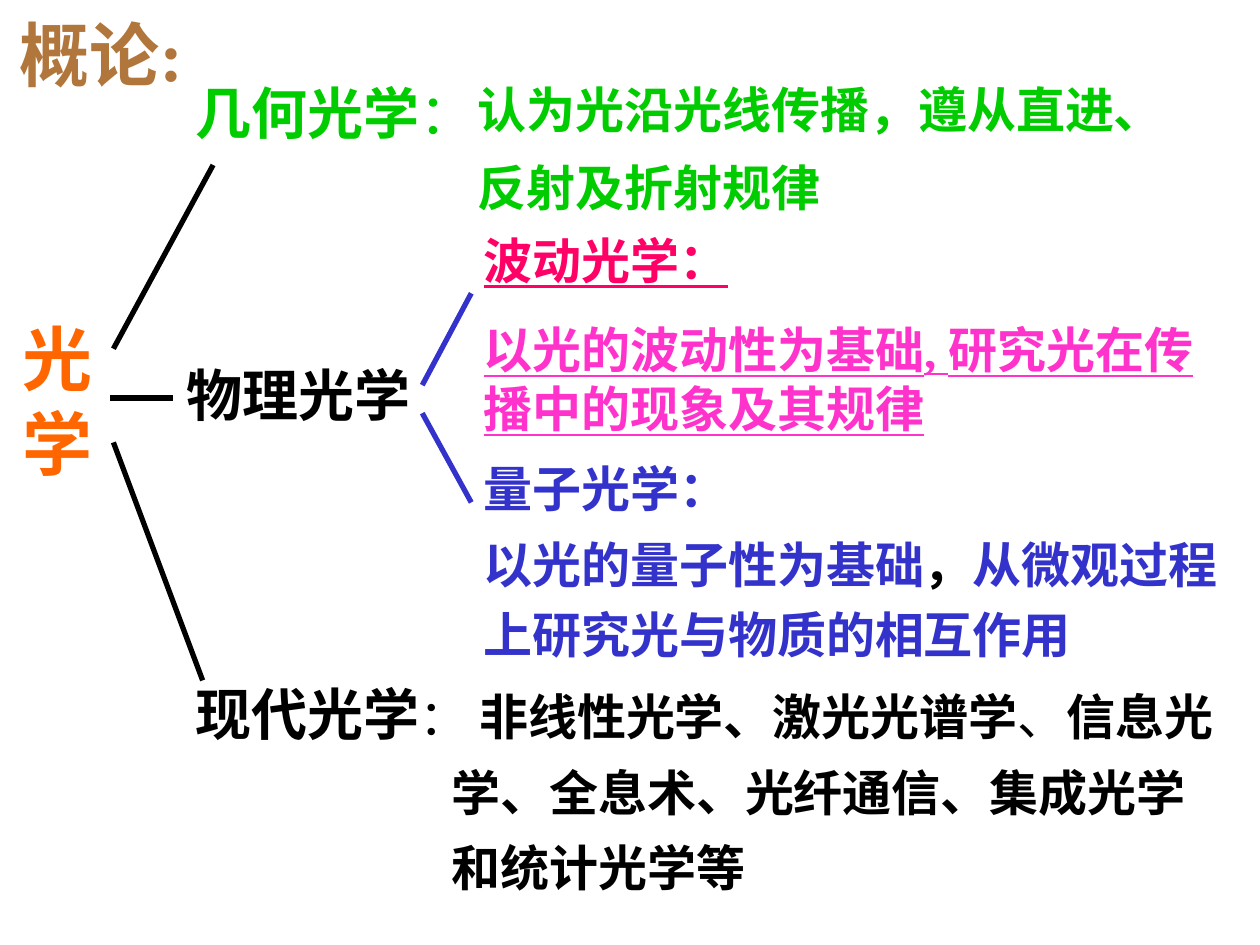
import pptx
import pptx.dml.color
import pptx.enum.shapes
import pptx.enum.text
import pptx.oxml
import pptx.oxml.ns
import pptx.util

Pt = pptx.util.Pt
RGB = pptx.dml.color.RGBColor
BLACK = RGB(0x00, 0x00, 0x00)
ORANGE = RGB(0xFF, 0x66, 0x00)
BROWN = RGB(0xB1, 0x76, 0x3B)
GREEN = RGB(0x00, 0xCC, 0x00)
RED = RGB(0xFF, 0x00, 0x66)
PINK = RGB(0xFF, 0x33, 0xCC)
BLUE = RGB(0x33, 0x33, 0xCC)
SHADOW = (
    '<a:effectLst %s><a:outerShdw dist="28575" dir="2700000" algn="tl">'
    '<a:srgbClr val="808080"/></a:outerShdw></a:effectLst>'
    % pptx.oxml.ns.nsdecls("a")
)


def add_box(s, x, y, w, h, wrap=True, top=3.6):
    """Add a text box and return its text frame."""
    tf = s.shapes.add_textbox(Pt(x), Pt(y), Pt(w), Pt(h)).text_frame
    tf.word_wrap = wrap
    tf.margin_left = tf.margin_right = Pt(7.2)
    tf.margin_top, tf.margin_bottom = Pt(top), Pt(3.6)
    return tf


def add_paragraph(tf, line=1.0, before=17.5, indent=0):
    """Return the next paragraph of a frame, the first without space before."""
    p = tf.paragraphs[0]
    if p.runs:
        p = tf.add_paragraph()
        p.space_before = Pt(before)
    p.line_spacing = line
    if indent:
        pPr = p._p.get_or_add_pPr()
        pPr.set("marL", str(Pt(indent)))
        pPr.set("indent", "0")
    return p


def add_text(p, text, size=28, color=BLACK, bold=True, underline=False,
             font="Times New Roman", shadow=False):
    """Add a formatted run to a paragraph."""
    r = p.add_run()
    r.text = text
    r.font.size, r.font.bold, r.font.name = Pt(size), bold, font
    r.font.color.rgb = color
    if underline:
        r.font.underline = True
    if shadow:
        fill = r._r.rPr.find(pptx.oxml.ns.qn("a:solidFill"))
        fill.addnext(pptx.oxml.parse_xml(SHADOW))


def add_line(s, x1, y1, x2, y2, color=BLACK):
    """Add a plain three-point line."""
    c = s.shapes.add_connector(
        pptx.enum.shapes.MSO_CONNECTOR.STRAIGHT, Pt(x1), Pt(y1), Pt(x2), Pt(y2))
    c.line.color.rgb = color
    c.line.width = Pt(3)
    c._element.spPr.append(
        pptx.oxml.parse_xml("<a:effectLst %s/>" % pptx.oxml.ns.nsdecls("a")))


def add_title(s, x, y, w, h):
    """Place the slide title."""
    tf = add_box(s, x, y, w, h, wrap=False)
    tf.vertical_anchor = pptx.enum.text.MSO_ANCHOR.MIDDLE
    p = add_paragraph(tf)
    p.alignment = pptx.enum.text.PP_ALIGN.CENTER
    add_text(p, "概论:", size=40, color=BROWN)


def add_root(s, x, y, w, h):
    """Place the root word and its three branches."""
    tf = add_box(s, x, y, w, h, top=48)
    for char in "光学":
        add_text(add_paragraph(tf, line=0.8, before=10), char, size=40,
                 color=ORANGE, font="Montserrat", shadow=True)
    add_line(s, x + 116, y - 47.5, x + 59, y + 57.5)
    add_line(s, x + 57, y + 85.7, x + 93, y + 85.7)
    add_line(s, x + 59, y + 111, x + 110, y + 247)


def add_geometric(s, x, y, w, h):
    """Place geometric optics and its description."""
    p = add_paragraph(add_box(s, x, y, 181.5, 38), line=0.8)
    add_text(p, "几何光学", size=32, color=GREEN)
    add_text(p, "：", size=32, color=GREEN, bold=False)
    tf = add_box(s, x + 142.6, y - 0.7, w - 142.6, h)
    for text in ("认为光沿光线传播，遵从直进、", "反射及折射规律"):
        add_text(add_paragraph(tf, line=0.8, indent=19), text, color=GREEN)


def add_physical(s, x, y, w, h):
    """Place physical optics with its wave and quantum branches."""
    right = x + 170
    middle = y + 100
    p = add_paragraph(add_box(s, x, y + 74.2, 157, 46))
    add_text(p, "物理光学", size=32)
    add_line(s, right - 28, middle - 8, right, middle - 60.5, BLUE)
    add_line(s, right - 28, middle + 8, right, middle + 59, BLUE)

    tf = add_box(s, right, y, 431.3, 177)
    add_text(add_paragraph(tf), "波动光学：", color=RED, underline=True)
    add_text(add_paragraph(tf), "以光的波动性为基础, 研究光在传播中的现象及其规律",
             color=PINK, underline=True)

    tf = add_box(s, right, y + 130.4, w - 170, h - 130.4)
    add_text(add_paragraph(tf), "量子光学：", color=BLUE)
    p = add_paragraph(tf, line=0.75)
    add_text(p, "以光的量子性为基础", color=BLUE)
    add_text(p, "，")
    add_text(p, "从微观过程", color=BLUE)
    add_text(add_paragraph(tf, line=0.75, before=15), "上研究光与物质的相互作用",
             color=BLUE)


def add_modern(s, x, y, w, h):
    """Place modern optics and its list of fields."""
    tf = add_box(s, x, y, w, h)
    p = add_paragraph(tf, line=0.75)
    add_text(p, "现代光学", size=32)
    add_text(p, "： ", bold=False)
    add_text(p, "非线性光学、激光光谱学")
    add_text(p, "、", bold=False)
    add_text(p, "信息光")
    for text in ("学、全息术、光纤通信、集成光学", "和统计光学等"):
        add_text(add_paragraph(tf, line=0.75, indent=146.5), text)


def main():
    """Build the slide and save it."""
    prs = pptx.Presentation()
    prs.slide_width, prs.slide_height = Pt(720), Pt(540)
    s = prs.slides.add_slide(prs.slide_layouts[6])
    add_root(s, 5.8, 141.8, 139, 139.7)
    add_geometric(s, 104.4, 49, 573.2, 78.5)
    add_physical(s, 99.3, 128.1, 606.3, 254.3)
    add_modern(s, 104.4, 393.8, 601.2, 121.7)
    add_title(s, 0, 3.6, 116, 54)
    prs.save("out.pptx")


if __name__ == "__main__":
    main()
